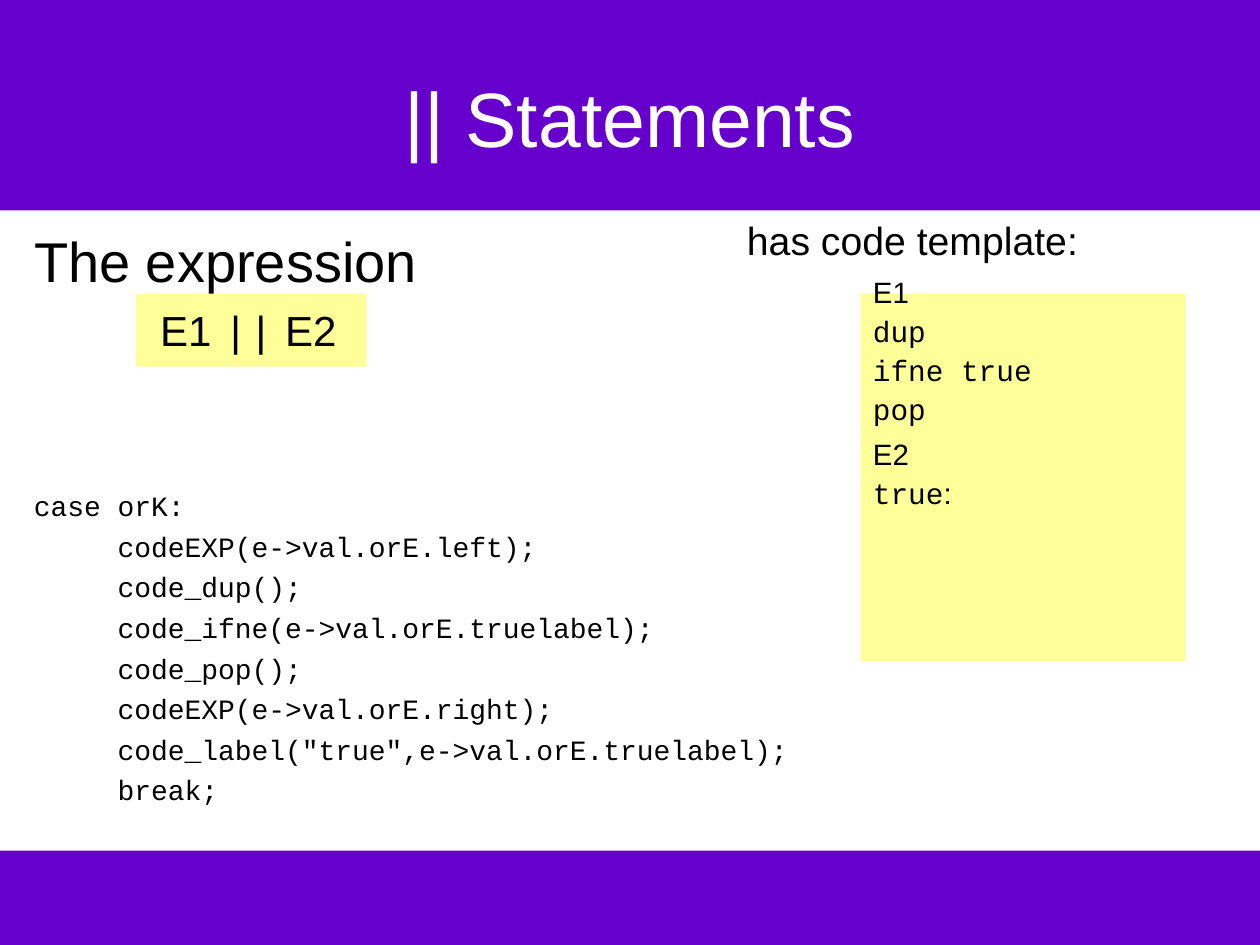
from pptx import Presentation
from pptx.dml.color import RGBColor
from pptx.enum.shapes import MSO_SHAPE
from pptx.enum.text import MSO_ANCHOR, MSO_AUTO_SIZE, PP_ALIGN
from pptx.oxml.ns import qn
from pptx.util import Inches, Pt

PURPLE, YELLOW, WHITE, BLACK = "6600CC", "FFFF99", "FFFFFF", "000000"
SANS, MONO = "Arial", "Courier New"

# (left, top, width, height), fill
PANELS = [
    ((0, 6.75, 10, 0.75), PURPLE),
    ((0, 0, 10, 1.67), PURPLE),
    ((6.83, 2.33, 2.58, 2.92), YELLOW),
    ((1.08, 2.33, 1.83, 0.58), YELLOW),
]

# Left margin and first-line indent in inches
OUTER, INNER = (0.38, -0.38), (1.25, -0.25)

# Each line: spans of (text, font), size, indents, space before, line spacing
TITLE = [([("|| Statements", SANS)], 44, (0, 0), 0, 1)]
EXPRESSION = [
    ([("The expression", SANS)], 32, OUTER, 0, 1),
    ([("E1 ", SANS), ("||", MONO), (" E2", SANS)], 24, INNER, 6, 1),
]
TEMPLATE = [([("has code template:", SANS)], 22.4, OUTER, 0, 1)] + [
    (spans, 16.8, INNER, 6, spacing)
    for spans, spacing in [
        ([("E1", SANS)], 1),
        ([("dup", MONO)], 0.8),
        ([("ifne true", MONO)], 0.8),
        ([("pop", MONO)], 0.8),
        ([("E2", SANS)], 1),
        ([("true", MONO), (":", SANS)], 0.8),
    ]
]
CODE = """case orK:
     codeEXP(e->val.orE.left);
     code_dup();
     code_ifne(e->val.orE.truelabel);
     code_pop();
     codeEXP(e->val.orE.right);
     code_label("true",e->val.orE.truelabel);
     break;"""
CODE_LINES = [
    ([(line, MONO)], 16, OUTER, 4 if number else 0, 1)
    for number, line in enumerate(CODE.splitlines())
]


def color(value):
    return RGBColor.from_string(value)


def add_panel(page, place, fill):
    panel = page.shapes.add_shape(MSO_SHAPE.RECTANGLE, *map(Inches, place))
    panel.shadow.inherit = False
    panel.fill.solid()
    panel.fill.fore_color.rgb = color(fill)
    panel.line.fill.background()


def place_on_top(page, placeholder, place):
    """Move a placeholder into position, in front of the panels."""
    page.shapes._spTree.append(placeholder._element)
    placeholder.left, placeholder.top, placeholder.width, placeholder.height = map(Inches, place)
    return placeholder


def write(box, lines, ink=BLACK, align=PP_ALIGN.LEFT, anchor=MSO_ANCHOR.TOP):
    frame = box.text_frame
    frame.word_wrap = True
    frame.auto_size = MSO_AUTO_SIZE.NONE
    frame.vertical_anchor = anchor
    for number, (spans, size, (margin, indent), before, spacing) in enumerate(lines):
        para = frame.add_paragraph() if number else frame.paragraphs[0]
        properties = para._p.get_or_add_pPr()
        properties.set("marL", str(Inches(margin)))
        properties.set("indent", str(Inches(indent)))
        properties.append(properties.makeelement(qn("a:buNone"), {}))
        para.alignment = align
        para.space_before = Pt(before)
        para.line_spacing = float(spacing)
        for text, font in spans:
            span = para.add_run()
            span.text = text
            span.font.name = font
            span.font.size = Pt(size)
            span.font.color.rgb = color(ink)


def main():
    deck = Presentation()
    deck.slide_width, deck.slide_height = Inches(10), Inches(7.5)
    page = deck.slides.add_slide(deck.slide_layouts[1])
    title, body = page.shapes.title, page.placeholders[1]

    for place, fill in PANELS:
        add_panel(page, place, fill)

    template_box = page.shapes.add_textbox(*map(Inches, (5.83, 1.67, 4, 2.75)))
    write(template_box, TEMPLATE)
    place_on_top(page, title, (0.5, 0.3, 9, 1.25))
    write(title, TITLE, WHITE, PP_ALIGN.CENTER, MSO_ANCHOR.MIDDLE)
    place_on_top(page, body, (0.17, 1.75, 4.42, 4.95))
    write(body, EXPRESSION)
    code_box = page.shapes.add_textbox(*map(Inches, (0.17, 3.83, 7.25, 2.83)))
    write(code_box, CODE_LINES)

    deck.save("out.pptx")


if __name__ == "__main__":
    main()
